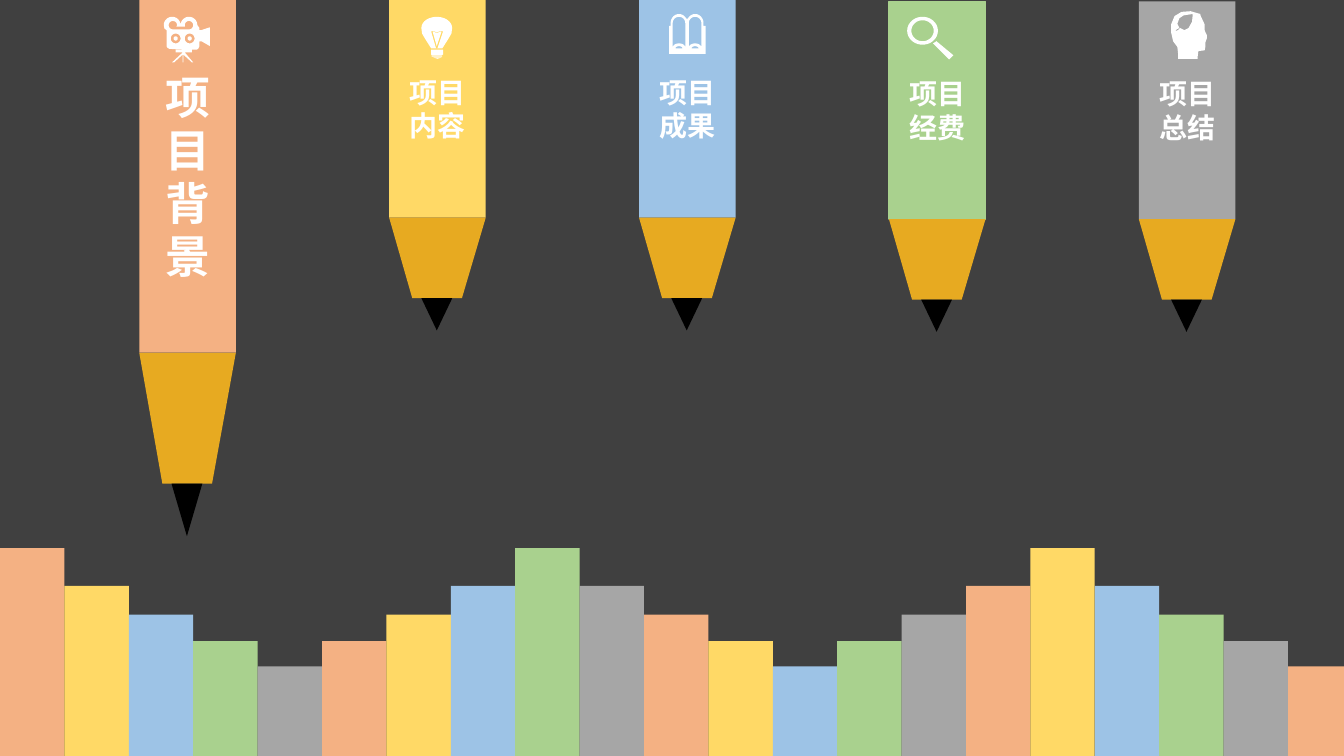
from dataclasses import dataclass
from math import cos, radians, sin

from lxml.etree import SubElement
from pptx import Presentation
from pptx.dml.color import RGBColor
from pptx.enum.shapes import MSO_SHAPE
from pptx.enum.text import MSO_ANCHOR, PP_ALIGN
from pptx.oxml.ns import qn
from pptx.shapes.autoshape import Shape
from pptx.shapes.shapetree import GroupShapes, SlideShapes
from pptx.util import Emu, Pt

EMU_PER_PX = 6350
SLIDE_WIDTH, SLIDE_HEIGHT = 1920, 1080
FONT = "Noto Sans CJK JP"
COLORS = {
    "background": "404040", "orange": "F4B183", "yellow": "FFD966",
    "blue": "9DC3E6", "green": "A9D18E", "gray": "A6A6A6",
    "wood": "E7AA21", "lead": "000000", "white": "FFFFFF",
}
CYCLE = ["orange", "yellow", "blue", "green", "gray"]

PENCIL_LEFT, PENCIL_PITCH, PENCIL_WIDTH = 199, 357, 138
WOOD_END_LEFT, WOOD_END_RIGHT = 33, 104
LEAD_OFFSET, LEAD_WIDTH = 46, 44
BAR_WIDTH = 92
BAR_TOPS = [783, 837, 878, 916, 952]

Contour = list[tuple[float, float]]
Shapes = SlideShapes | GroupShapes


@dataclass(frozen=True)
class PencilSize:
    body: int
    wood: int
    lead: int
    font_pt: int
    line_pt: int


@dataclass(frozen=True)
class Pencil:
    label: str
    color: str
    size: PencilSize
    icon: list[Contour]
    top: int = 0
    outlined: bool = False


def px(length: float) -> Emu:
    return Emu(round(length * EMU_PER_PX))


def rgb(color: str) -> RGBColor:
    return RGBColor.from_string(COLORS[color])


def arc(cx: int, cy: int, rx: int, ry: int, start: int = 0, end: int = 360) -> Contour:
    """Points along an ellipse; angles run clockwise from the right."""
    steps = max(6, abs(end - start) // 12)
    angles = [radians(start + (end - start) * i / steps) for i in range(steps + 1)]
    return [(cx + rx * cos(a), cy + ry * sin(a)) for a in angles]


def camera_icon() -> list[Contour]:
    tripod = [(251, 71), (274, 71), (274, 75), (264, 75), (276, 89), (274, 89), (262, 78),
              (262, 89), (261, 89), (261, 78), (249, 89), (246, 89), (261, 75), (251, 75)]
    lenses = [arc(cx, 55, r, r) for cx in (251, 271) for r in (3, 7)]
    reels = [*arc(247, 36, 6, 6, 270, 90), *arc(270, 36, 6, 6, 90, -180),
             (264, 38), (252, 38), *arc(247, 36, 6, 6, 0, -90)]
    body = [*arc(246, 36, 12, 12, 180, 360), *arc(270, 36, 12, 12, 180, 360),
            (285, 40), (285, 43), (288, 43), (300, 39), (300, 66), (288, 59), (285, 59),
            (285, 66), (283, 70), (281, 71), (242, 70), (239, 68), (238, 66), (238, 43),
            (235, 41)]
    return [tripod, *lenses, reels, body]


def bulb_icon() -> list[Contour]:
    glass = [*arc(624, 40, 22, 16, 180, 360), (645, 48), (639, 58), (632, 69),
             (616, 69), (609, 58), (603, 48)]
    filament = [(616, 45), (623, 69), (625, 69), (633, 45), (631, 44), (624, 46), (618, 44)]
    filament_gap = [(618, 45), (624, 47), (631, 45), (624, 66)]
    socket = [(616, 71), (633, 71), (633, 78), (631, 79), (617, 79), (616, 78)]
    rim = [(616, 80), (632, 80), (631, 81), (618, 81)]
    contact = [(619, 82), (631, 82), (625, 84)]
    return [glass, filament, filament_gap, socket, rim, contact]


def book_icon() -> list[Contour]:
    cover = [*arc(970, 33, 12, 13, 180, 330), *arc(993, 33, 12, 13, 210, 360),
             (1005, 37), (1008, 37), (1008, 77), (956, 77), (956, 37), (958, 37)]
    pages = [arc(cx, 33, 9, 9, 180, 360) + arc(cx, 68, 9, 6, 360, 180) for cx in (970, 993)]
    folds = [arc(cx, 69, 5, 3, 180, 360) for cx in (970, 993)]
    return [cover, *pages, *folds]


def magnifier_icon() -> list[Contour]:
    handle = [(1338, 59), (1362, 79), (1356, 85), (1333, 62)]
    return [handle, arc(1318, 44, 22, 20), arc(1318, 44, 16, 15)]


def head_icon() -> list[Contour]:
    profile = [(1724, 55), (1724, 50), (1722, 46), (1721, 43), (1721, 35), (1715, 22),
               (1715, 20), (1711, 19), (1701, 16), (1688, 17), (1678, 23), (1673, 35),
               (1673, 46), (1676, 59), (1682, 67), (1683, 76), (1683, 84), (1711, 84),
               (1711, 81), (1712, 73), (1721, 72), (1722, 67), (1722, 61)]
    leaf = [(1698, 40), (1692, 43), (1686, 40), (1683, 43), (1679, 45), (1681, 42),
            (1685, 40), (1682, 34), (1685, 26), (1691, 22), (1704, 20), (1703, 31)]
    return [profile, leaf]


def paint(shape: Shape, color: str) -> None:
    shape.shadow.inherit = False
    shape.fill.solid()
    shape.fill.fore_color.rgb = rgb(color)
    shape.line.fill.background()


def add_preset(shapes: Shapes, preset: MSO_SHAPE, left: int, top: int,
               width: int, height: int, color: str) -> Shape:
    shape = shapes.add_shape(preset, px(left), px(top), px(width), px(height))
    paint(shape, color)
    return shape


def add_outline(shapes: Shapes, contours: list[Contour], color: str) -> None:
    """Draw contours as one freeform; inner contours become holes."""
    scaled = [[(px(x), px(y)) for x, y in contour] for contour in contours]
    builder = shapes.build_freeform(*scaled[0][0])
    for index, contour in enumerate(scaled):
        if index:
            builder.move_to(*contour[0])
        builder.add_line_segments(contour[1:], close=True)
    paint(builder.convert_to_shape(), color)


def write_label(body: Shape, pencil: Pencil) -> None:
    frame = body.text_frame
    frame.text = pencil.label
    frame.word_wrap = True
    frame.vertical_anchor = MSO_ANCHOR.MIDDLE
    for paragraph in frame.paragraphs:
        paragraph.alignment = PP_ALIGN.CENTER
        paragraph.line_spacing = Pt(pencil.size.line_pt)
        for run in paragraph.runs:
            run.font.size = Pt(pencil.size.font_pt)
            run.font.bold = True
            run.font.color.rgb = rgb("white")
            run.font.name = FONT
            SubElement(run.font._element, qn("a:ea"), typeface=FONT)


def add_pencil(slide_shapes: SlideShapes, pencil: Pencil, left: int) -> None:
    shapes = slide_shapes.add_group_shape().shapes
    size = pencil.size
    body = add_preset(shapes, MSO_SHAPE.RECTANGLE, left, pencil.top,
                      PENCIL_WIDTH, size.body, pencil.color)
    if pencil.outlined:
        body.line.color.rgb = rgb(pencil.color)
        body.line.width = Pt(1)
    write_label(body, pencil)
    wood_top = pencil.top + size.body
    lead_top = wood_top + size.wood
    add_outline(shapes, [[(left, wood_top), (left + PENCIL_WIDTH, wood_top),
                          (left + WOOD_END_RIGHT, lead_top),
                          (left + WOOD_END_LEFT, lead_top)]], "wood")
    lead = add_preset(shapes, MSO_SHAPE.ISOSCELES_TRIANGLE, left + LEAD_OFFSET, lead_top,
                      LEAD_WIDTH, size.lead, "lead")
    lead.rotation = 180


def main() -> None:
    presentation = Presentation()
    presentation.slide_width, presentation.slide_height = px(SLIDE_WIDTH), px(SLIDE_HEIGHT)
    slide = presentation.slides.add_slide(presentation.slide_layouts[6])
    slide.background.fill.solid()
    slide.background.fill.fore_color.rgb = rgb("background")

    current = PencilSize(body=504, wood=187, lead=75, font_pt=32, line_pt=38)
    waiting = PencilSize(body=311, wood=115, lead=46, font_pt=20, line_pt=24)
    pencils = [
        Pencil("项\n目\n背\n景", "orange", current, camera_icon()),
        Pencil("项目\n内容", "yellow", waiting, bulb_icon()),
        Pencil("项目\n成果", "blue", waiting, book_icon()),
        Pencil("项目\n经费", "green", waiting, magnifier_icon(), top=2, outlined=True),
        Pencil("项目\n总结", "gray", waiting, head_icon(), top=2),
    ]
    for index, pencil in enumerate(pencils):
        add_pencil(slide.shapes, pencil, PENCIL_LEFT + index * PENCIL_PITCH)
    for pencil in pencils:
        add_outline(slide.shapes, pencil.icon, "white")

    for index, left in enumerate(range(0, SLIDE_WIDTH, BAR_WIDTH)):
        top = BAR_TOPS[4 - abs(4 - index % 8)]
        width = min(BAR_WIDTH, SLIDE_WIDTH - left)
        add_preset(slide.shapes, MSO_SHAPE.RECTANGLE, left, top, width,
                   SLIDE_HEIGHT - top, CYCLE[index % len(CYCLE)])

    presentation.save("out.pptx")


if __name__ == "__main__":
    main()
